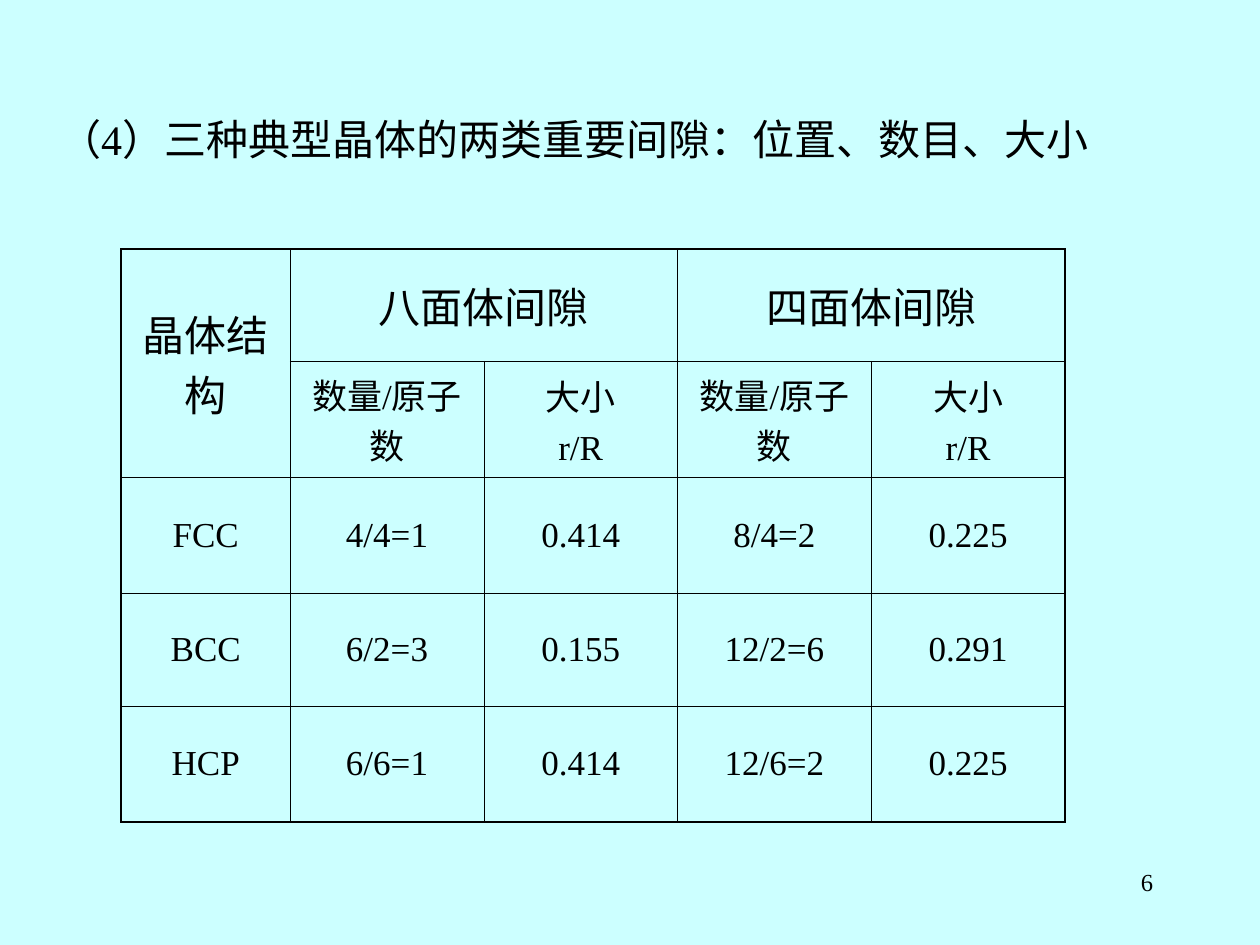
from lxml.etree import SubElement
from pptx import Presentation
from pptx.dml.color import RGBColor
from pptx.enum.text import MSO_ANCHOR as Anchor, MSO_AUTO_SIZE as AutoSize, PP_ALIGN as Align
from pptx.oxml.ns import qn
from pptx.util import Pt

FONT = "Times New Roman"
INK = "000000"
BACKGROUND = "CCFFFF"
OUTER, INNER = 1.08, 0.45

COLUMN_WIDTHS = [96.5] + [110.7] * 4
ROW_HEIGHTS = [64, 66.3, 66.3, 64.5, 66.3]
ROWS = [
    ["晶体结构", "八面体间隙", "", "四面体间隙", ""],
    ["", "数量/原子数", "大小\nr/R", "数量/原子数", "大小\nr/R"],
    ["FCC", "4/4=1", "0.414", "8/4=2", "0.225"],
    ["BCC", "6/2=3", "0.155", "12/2=6", "0.291"],
    ["HCP", "6/6=1", "0.414", "12/6=2", "0.225"],
]
MERGES = [((0, 0), (1, 0)), ((0, 1), (0, 2)), ((0, 3), (0, 4))]


def color(hex_string):
    return RGBColor.from_string(hex_string)


def write(frame, text, size=20, align=Align.LEFT, anchor=Anchor.TOP, before=0):
    frame.word_wrap = True
    frame.vertical_anchor = anchor
    frame.text = text
    for paragraph in frame.paragraphs:
        paragraph.alignment = align
        paragraph.space_before = Pt(before)
        paragraph.font.size = Pt(size)
        paragraph.font.name = FONT
        paragraph.font.color.rgb = color(INK)


def add_heading(slide, text):
    heading = slide.shapes.title
    heading.left, heading.top = Pt(26.6), Pt(61.2)
    heading.width, heading.height = Pt(662.4), Pt(36)
    heading.text_frame.auto_size = AutoSize.NONE
    write(heading.text_frame, text, size=24, before=15)


def add_page_number(slide, number):
    box = slide.shapes.add_textbox(Pt(516.2), Pt(491.8), Pt(149.8), Pt(36))
    write(box.text_frame, number, size=14, align=Align.RIGHT)


def set_borders(cell, widths):
    """Draw the left, right, top and bottom borders, in that order."""
    properties = cell._tc.get_or_add_tcPr()
    for position, (side, width) in enumerate(zip("LRTB", widths)):
        line = SubElement(properties, qn(f"a:ln{side}"), w=str(int(Pt(width))))
        fill = SubElement(line, qn("a:solidFill"))
        SubElement(fill, qn("a:srgbClr"), val=INK)
        properties.insert(position, line)  # borders come before the fill


def add_gap_table(slide):
    frame = slide.shapes.add_table(
        len(ROWS), len(COLUMN_WIDTHS), Pt(69.3), Pt(142.4),
        Pt(sum(COLUMN_WIDTHS)), Pt(sum(ROW_HEIGHTS)))
    table = frame.table
    table.first_row = table.horz_banding = False
    for column, width in zip(table.columns, COLUMN_WIDTHS):
        column.width = Pt(width)
    for row, height in zip(table.rows, ROW_HEIGHTS):
        row.height = Pt(height)
    for start, end in MERGES:
        table.cell(*start).merge(table.cell(*end))

    for r, texts in enumerate(ROWS):
        for c, text in enumerate(texts):
            cell = table.cell(r, c)
            cell.fill.background()
            cell.vertical_anchor = Anchor.MIDDLE
            if not cell.is_spanned:
                group_header = cell.is_merge_origin
                write(cell.text_frame, text, size=24 if group_header else 20,
                      align=Align.CENTER, anchor=None,
                      before=6 if group_header else 5)
            last_row = r + (cell.span_height if cell.is_merge_origin else 1) == len(ROWS)
            last_column = c + (cell.span_width if cell.is_merge_origin else 1) == len(texts)
            on_edge = (c == 0, last_column, r == 0, last_row)
            set_borders(cell, [OUTER if edge else INNER for edge in on_edge])


def main():
    deck = Presentation()
    deck.slide_width, deck.slide_height = Pt(720), Pt(540)
    slide = deck.slides.add_slide(deck.slide_layouts[5])  # title only
    slide.background.fill.solid()
    slide.background.fill.fore_color.rgb = color(BACKGROUND)

    add_page_number(slide, "6")
    add_heading(slide, "（4）三种典型晶体的两类重要间隙：位置、数目、大小")
    add_gap_table(slide)
    deck.save("out.pptx")


if __name__ == "__main__":
    main()
